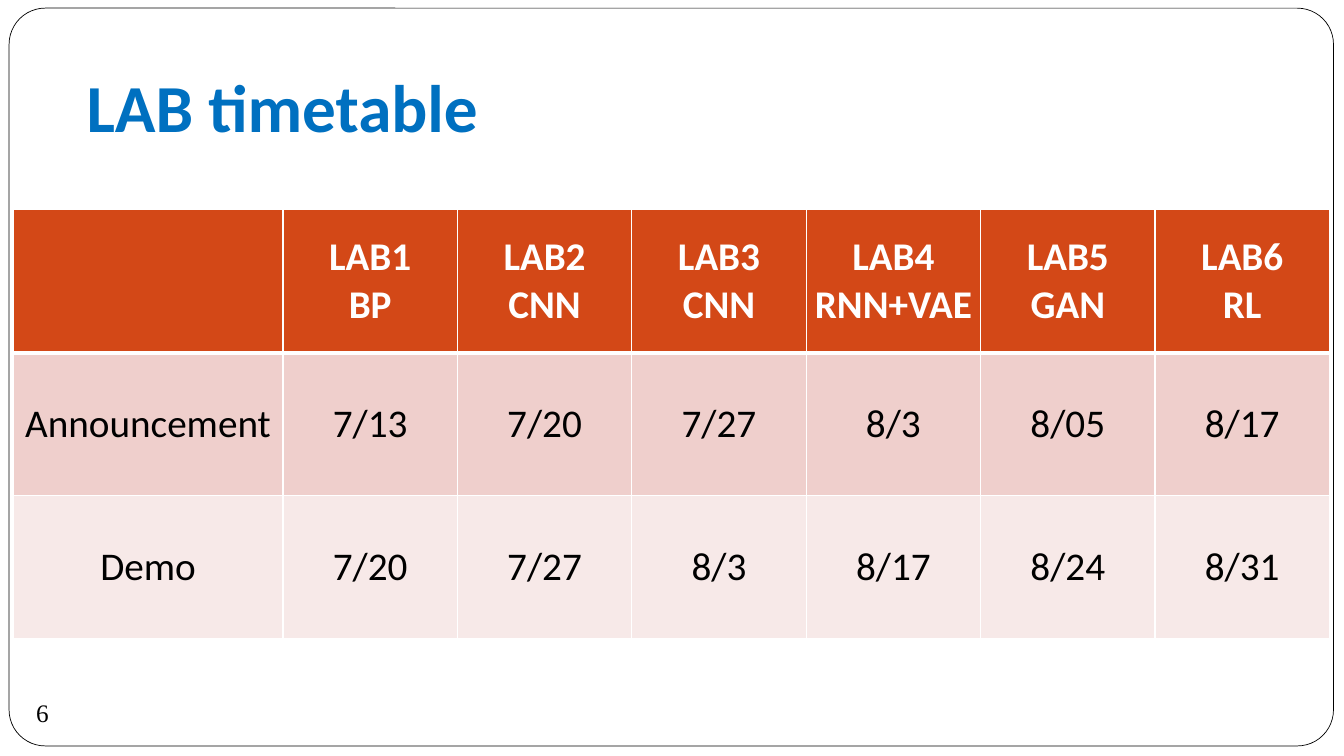
import pptx
import pptx.util
import pptx.dml.color
import pptx.enum.shapes
import pptx.enum.text
import pptx.oxml.ns
from lxml import etree

Pt = pptx.util.Pt
Anchor = pptx.enum.text.MSO_ANCHOR
COLORS = {
    "paper": "FFFFFF",
    "ink": "000000",
    "title": "0070C0",
    "header": "D34817",
    "announcement": "EFCFCC",
    "demo": "F7E9E8",
}
LABS = [
    ("LAB1\nBP", "7/13", "7/20"),
    ("LAB2\nCNN", "7/20", "7/27"),
    ("LAB3\nCNN", "7/27", "8/3"),
    ("LAB4\nRNN+VAE", "8/3", "8/17"),
    ("LAB5\nGAN", "8/05", "8/24"),
    ("LAB6\nRL", "8/17", "8/31"),
]
ROWS = list(zip(("", "Announcement", "Demo"), *LABS))
ROW_FILLS = ("header", "announcement", "demo")


def color(name):
    return pptx.dml.color.RGBColor.from_string(COLORS[name])


class Painter:
    heading_font = "Calibri"
    number_font = "Times New Roman"

    def __init__(self, page):
        self.page = page

    def style(self, frame, size, font, ink, bold=False, align=None):
        for para in frame.paragraphs:
            para.alignment = align
            for span in para.runs:
                span.font.size = Pt(size)
                span.font.name = font
                span.font.bold = bold
                span.font.color.rgb = color(ink)

    def frame(self, left, top, width, height, radius):
        kind = pptx.enum.shapes.MSO_SHAPE.ROUNDED_RECTANGLE
        shape = self.page.shapes.add_shape(kind, Pt(left), Pt(top), Pt(width), Pt(height))
        shape.adjustments[0] = radius
        shape.shadow.inherit = False
        shape.fill.solid()
        shape.fill.fore_color.rgb = color("paper")
        shape.line.color.rgb = color("ink")
        shape.line.width = Pt(0.5)

    def text(self, words, left, top, width, height, size, font, ink,
             bold=False, wrap=True, anchor=Anchor.TOP, bottom=3.6):
        box = self.page.shapes.add_textbox(Pt(left), Pt(top), Pt(width), Pt(height))
        frame = box.text_frame
        frame.text = words
        frame.word_wrap = wrap
        frame.vertical_anchor = anchor
        frame.margin_bottom = Pt(bottom)
        self.style(frame, size, font, ink, bold)

    def border(self, cell, side, width):
        properties = cell._tc.get_or_add_tcPr()
        qn = pptx.oxml.ns.qn
        line = etree.SubElement(properties, qn("a:ln" + side), w=str(Pt(width)))
        fill = etree.SubElement(line, qn("a:solidFill"))
        etree.SubElement(fill, qn("a:srgbClr"), val=COLORS["paper"])

    def cell(self, cell, words, row):
        header = row == 0
        cell.text = words
        cell.vertical_anchor = Anchor.MIDDLE
        cell.margin_left = cell.margin_right = Pt(5.5)
        cell.margin_top = cell.margin_bottom = Pt(3)
        self.style(cell.text_frame, 28, self.heading_font, "paper" if header else "ink",
                   header, pptx.enum.text.PP_ALIGN.CENTER)
        widths = {"L": 1, "R": 1, "T": 3 if row == 1 else 1, "B": 3 if header else 1}
        for side, width in widths.items():
            self.border(cell, side, width)
        cell.fill.solid()
        cell.fill.fore_color.rgb = color(ROW_FILLS[row])

    def table(self, rows, left, top, widths, row_height):
        holder = self.page.shapes.add_table(
            len(rows), len(widths), Pt(left), Pt(top),
            Pt(sum(widths)), Pt(row_height * len(rows)))
        table = holder.table
        for column, width in zip(table.columns, widths):
            column.width = Pt(width)
        for row, words in enumerate(rows):
            table.rows[row].height = Pt(row_height)
            for column, label in enumerate(words):
                self.cell(table.cell(row, column), label, row)


deck = pptx.Presentation()
deck.slide_width, deck.slide_height = Pt(960), Pt(540)
painter = Painter(deck.slides.add_slide(deck.slide_layouts[6]))
painter.frame(6.5, 5.8, 946, 527, 0.049)
painter.text("6", 18.7, 494.6, 36, 28.8, 18, painter.number_font, "ink", wrap=False)
painter.text("LAB timetable", 54.7, 21.6, 850.3, 90, 48, painter.heading_font, "title",
             bold=True, anchor=Anchor.BOTTOM, bottom=7.2)
painter.table(ROWS, 9.4, 149.8, [192.7] + [124.6] * len(LABS), 102.2)
deck.save("out.pptx")
